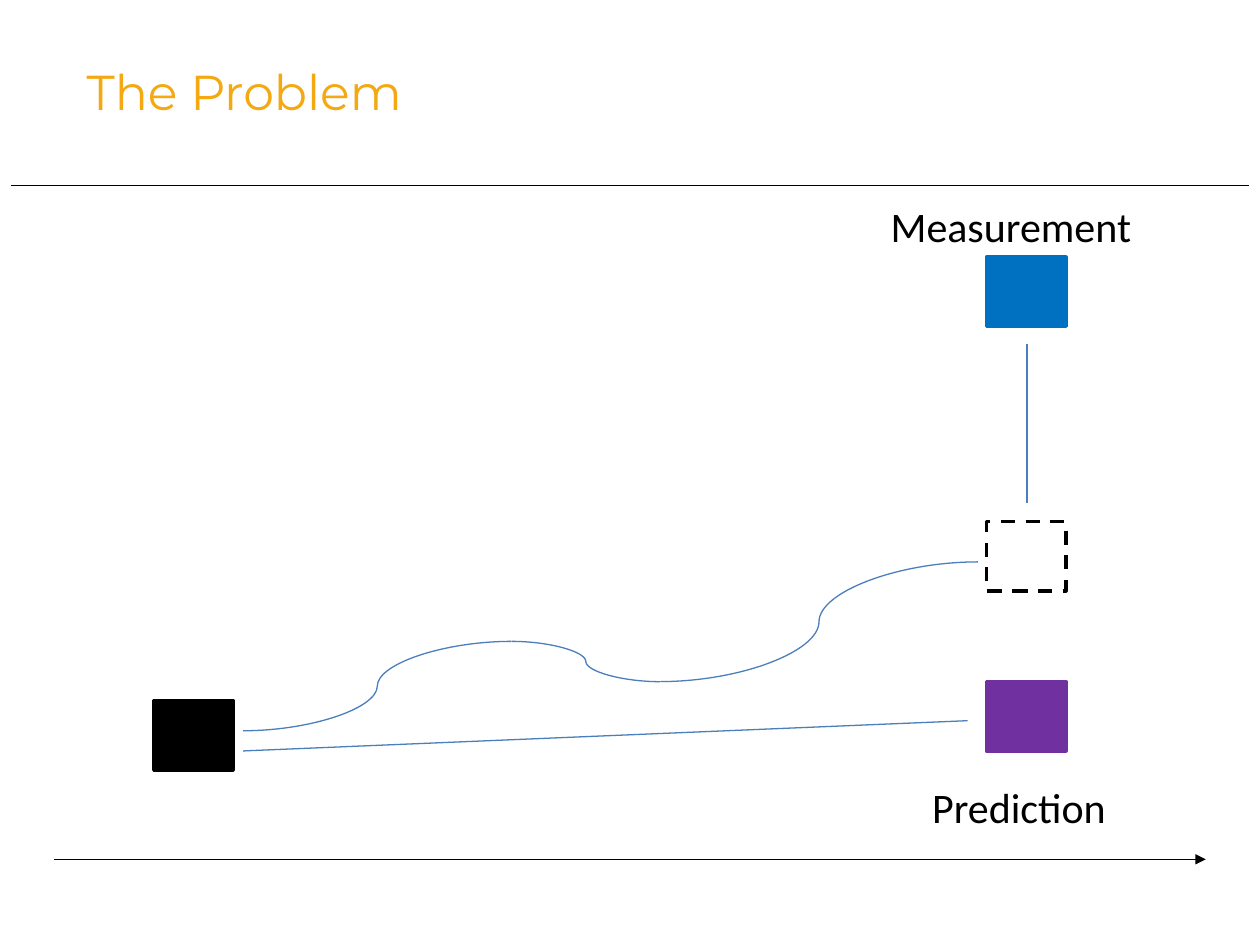
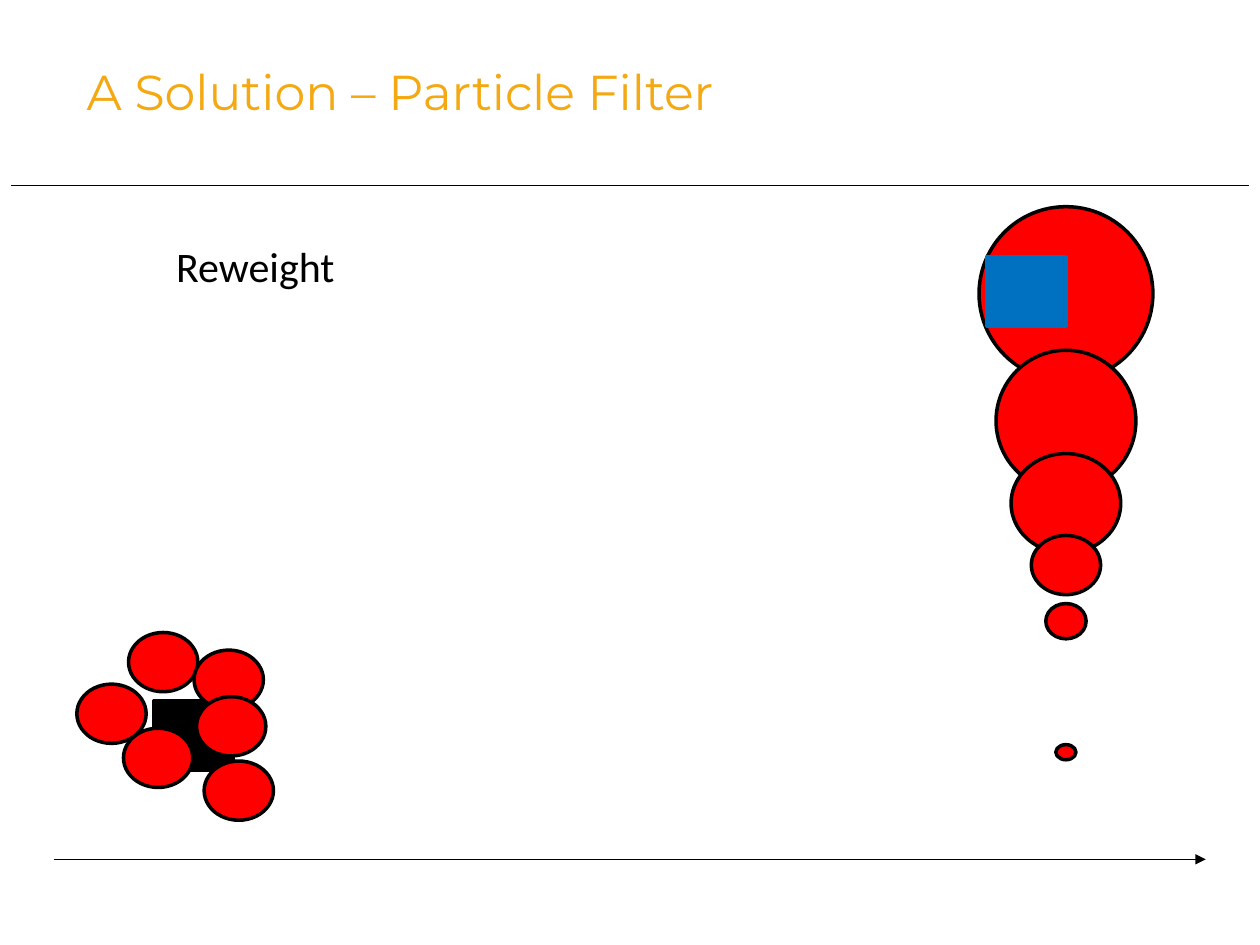
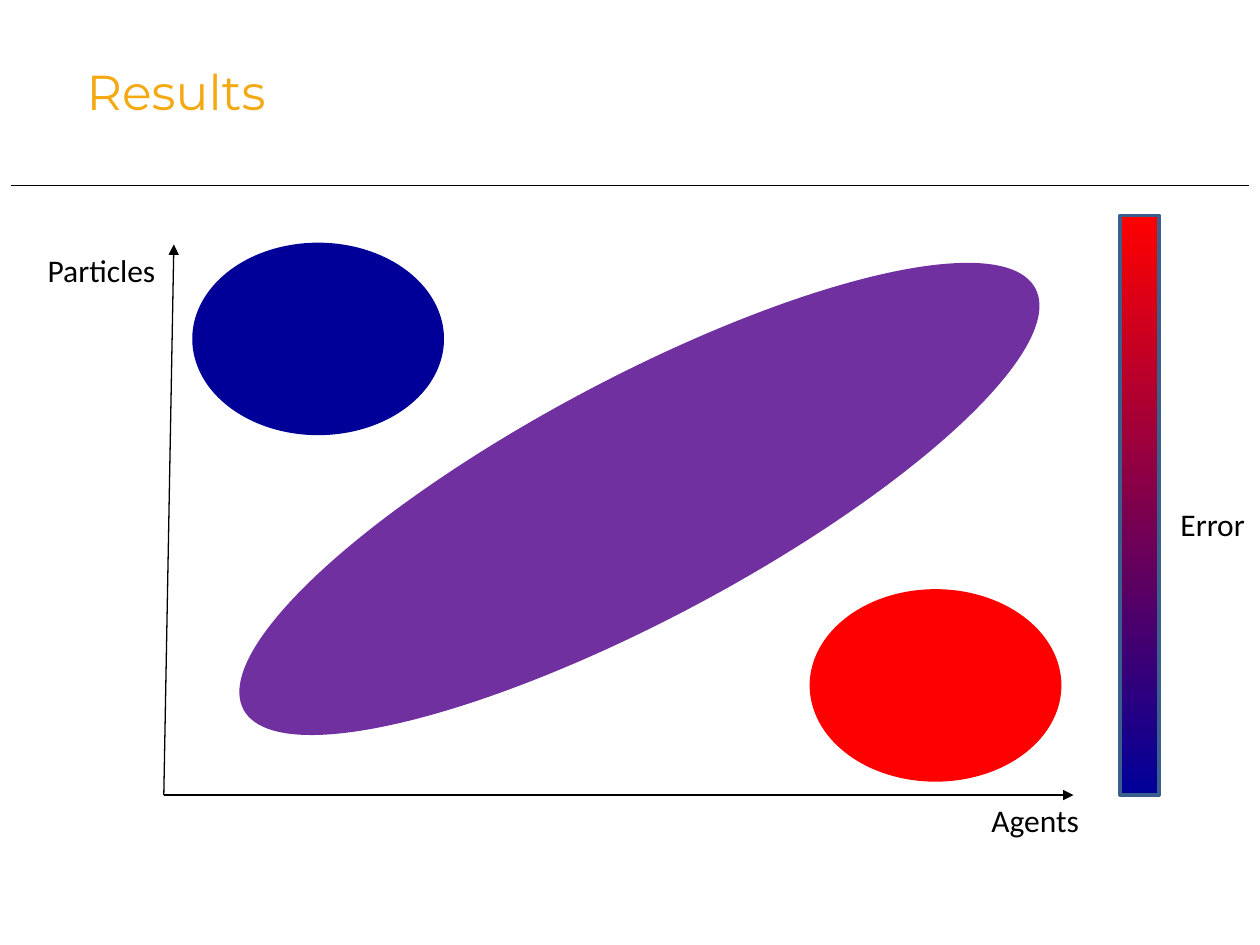
from itertools import pairwise

from lxml import etree
from pptx import Presentation
from pptx.dml.color import RGBColor
from pptx.enum.dml import MSO_LINE
from pptx.enum.shapes import MSO_CONNECTOR, MSO_SHAPE
from pptx.enum.text import MSO_AUTO_SIZE
from pptx.oxml.ns import qn
from pptx.util import Inches, Pt

COLORS = {
    "title": "F4A913",
    "black": "000000",
    "white": "FFFFFF",
    "measurement": "0070C0",
    "purple": "7030A0",
    "red": "FF0000",
    "navy": "000099",
    "path": "4B7EBC",
    "bar_edge": "3A5F8C",
}
DIAGRAM = (0.43, 1.54, 9.14, 5.28)
PLOT = (1.3, 1.94, 7.22, 4.37)
COLOR_BAR = (8.89, 1.71, 0.31, 4.6)
STATE = (0.63, 0.55)
PARTICLE = (0.55, 0.47)
START = (0.79, 4.02)
MEASURED = (7.4, 0.5)


def rgb(name):
    return RGBColor.from_string(COLORS[name])


def add_text(s, text, x, y, w, h, size=24, font="Calibri", color="black"):
    tf = s.shapes.add_textbox(Inches(x), Inches(y), Inches(w), Inches(h)).text_frame
    tf.word_wrap = True
    tf.auto_size = MSO_AUTO_SIZE.SHAPE_TO_FIT_TEXT
    r = tf.paragraphs[0].add_run()
    r.text = text
    r.font.size = Pt(size)
    r.font.name = font
    r.font.color.rgb = rgb(color)


def add_line(s, start, end, color="black", arrow=False, kind=MSO_CONNECTOR.STRAIGHT):
    line = s.shapes.add_connector(kind, *(Inches(v) for v in (*start, *end)))
    line.line.color.rgb = rgb(color)
    line.line.width = Pt(0.75)
    if arrow:
        ln = line.line._get_or_add_ln()
        etree.SubElement(ln, qn("a:tailEnd"), type="triangle")
    etree.SubElement(line._element.spPr, qn("a:effectLst"))


def add_figure(s, kind, x, y, w, h, fill, edge=None):
    sp = s.shapes.add_shape(kind, Inches(x), Inches(y), Inches(w), Inches(h))
    sp.shadow.inherit = False
    sp.fill.solid()
    sp.fill.fore_color.rgb = rgb(fill)
    sp.line.color.rgb = rgb(edge or fill)
    sp.line.width = Pt(2)
    return sp


def add_state(s, x, y, fill, edge=None):
    return add_figure(s, MSO_SHAPE.RECTANGLE, x, y, *STATE, fill, edge)


def add_particle(s, x, y, w, h):
    add_figure(s, MSO_SHAPE.OVAL, x, y, w, h, "red", "black")


def add_titled_slide(prs, title):
    s = prs.slides.add_slide(prs.slide_layouts[6])
    add_line(s, (0.09, 1.47), (9.91, 1.47))
    add_text(s, title, 0.59, 0.44, 6.46, 0.57, 28, "Montserrat", "title")
    return s


def add_time_axis(s, x, y, w, h):
    add_line(s, (x, y + h), (x + w, y + h), arrow=True)


def add_problem(s, box):
    """True path, predicted path and measurement above the time axis."""
    x, y, w, h = box
    add_time_axis(s, *box)
    add_state(s, x + START[0], y + START[1], "black")
    add_state(s, x + MEASURED[0], y + MEASURED[1], "measurement")
    add_state(s, x + MEASURED[0], y + 3.87, "purple")
    true_state = add_state(s, x + MEASURED[0], y + 2.6, "white", "black")
    true_state.line.dash_style = MSO_LINE.DASH
    add_text(s, "Prediction", x + 6.87, y + 4.61, 1.67, 0.5)
    add_text(s, "Measurement", x + 6.54, y, 2.19, 0.5)

    bends = [(1.5, 4.26), (3.63, 3.55), (4.81, 3.87), (7.33, 2.92)]
    true_path = [(x + dx, y + dy) for dx, dy in bends]
    for start, end in pairwise(true_path):
        add_line(s, start, end, "path", kind=MSO_CONNECTOR.CURVE)
    add_line(s, (x + 7.72, y + 1.19), (x + 7.72, y + 2.45), "path")
    add_line(s, (x + 1.5, y + 4.42), (x + 7.25, y + 4.18), "path")


def add_particle_filter(s, box):
    """Equal particles at the start and reweighted ones at the end."""
    x, y, w, h = box
    add_time_axis(s, *box)
    add_state(s, x + START[0], y + START[1], "black")
    for dx, dy in [(0.59, 3.48), (1.11, 3.62), (0.55, 4.24),
                   (1.13, 3.99), (0.18, 3.89), (1.19, 4.5)]:
        add_particle(s, x + dx, y + dy, *PARTICLE)

    def add_weighted(top, pw, ph):
        add_particle(s, x + 8.03 - pw / 2, y + top, pw, ph)

    add_weighted(0.1, 1.38, 1.38)
    add_state(s, x + MEASURED[0], y + MEASURED[1], "measurement")
    for weighted in [(1.24, 1.11, 1.12), (2.06, 0.87, 0.79), (2.71, *PARTICLE),
                     (3.25, 0.32, 0.28), (4.37, 0.16, 0.12)]:
        add_weighted(*weighted)
    add_text(s, "Reweight", x + 0.87, y + 0.32, 1.73, 0.5)


def add_axis_label(s, text, x, y):
    add_text(s, text, x, y, 1.81, 0.4, 18)


def add_error_plot(s, box):
    x, y, w, h = box
    origin = (x, y + h)
    add_line(s, origin, (x + w, y + h), arrow=True)
    add_line(s, origin, (x + 0.08, y), arrow=True)
    add_axis_label(s, "Agents", x + 6.47, y + h)
    add_axis_label(s, "Particles", x - 1.02, y)
    for dx, dy, rw, rh, color, angle in [
        (0.24, 0, 1.97, 1.5, "navy", 0),
        (5.14, 2.75, 1.97, 1.5, "red", 0),
        (0.23, 1.08, 7.09, 1.88, "purple", 332),
    ]:
        region = add_figure(s, MSO_SHAPE.OVAL, x + dx, y + dy, rw, rh, color)
        region.rotation = angle


def add_color_bar(s, box):
    x, y, w, h = box
    bar = add_figure(s, MSO_SHAPE.RECTANGLE, x, y, w, h, "red", "bar_edge")
    bar.fill.gradient()
    bar.fill.gradient_angle = 270
    for stop, position, color in zip(bar.fill.gradient_stops, (0, 1), ("red", "navy")):
        stop.position = position
        stop.color.rgb = rgb(color)
    add_axis_label(s, "Error", x + 0.38, y + 2.25)


def main():
    prs = Presentation()
    prs.slide_width, prs.slide_height = Inches(10), Inches(7.5)
    add_problem(add_titled_slide(prs, "The Problem"), DIAGRAM)
    add_particle_filter(add_titled_slide(prs, "A Solution – Particle Filter"), DIAGRAM)
    results = add_titled_slide(prs, "Results")
    add_error_plot(results, PLOT)
    add_color_bar(results, COLOR_BAR)
    prs.save("out.pptx")


if __name__ == "__main__":
    main()
